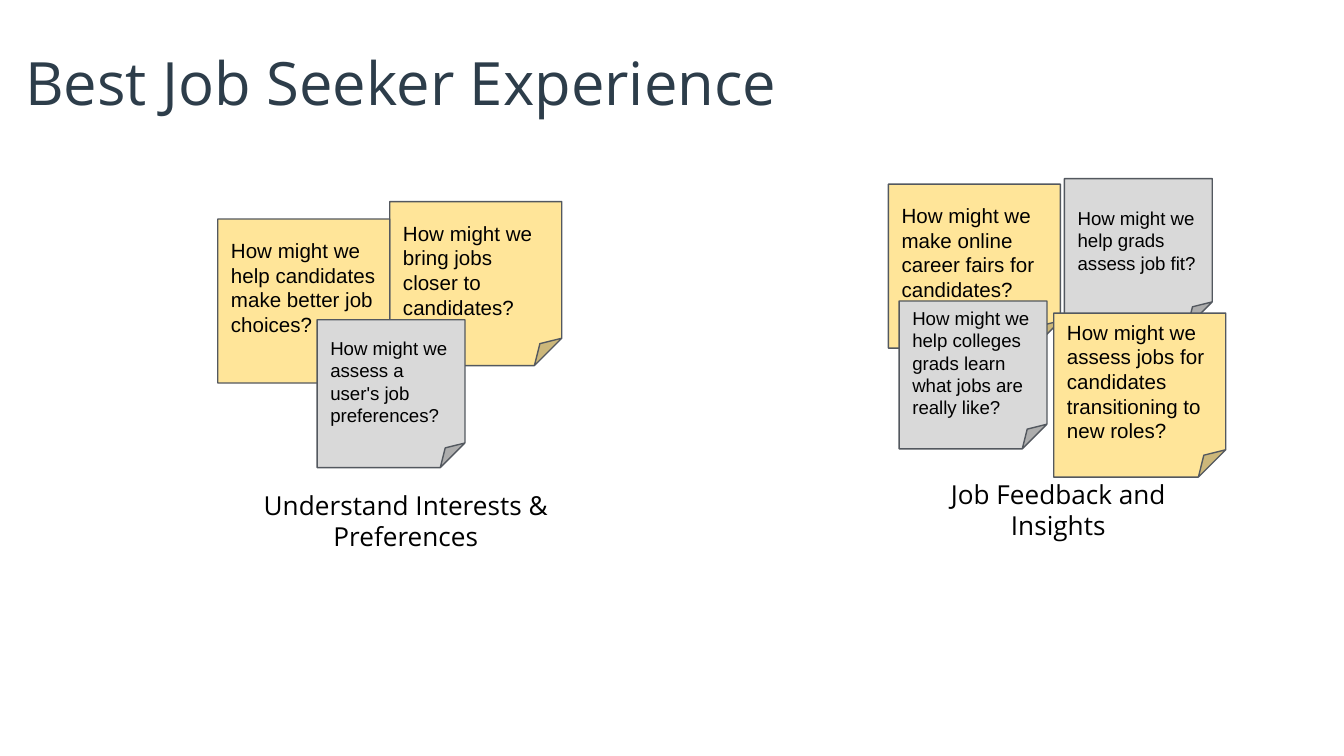
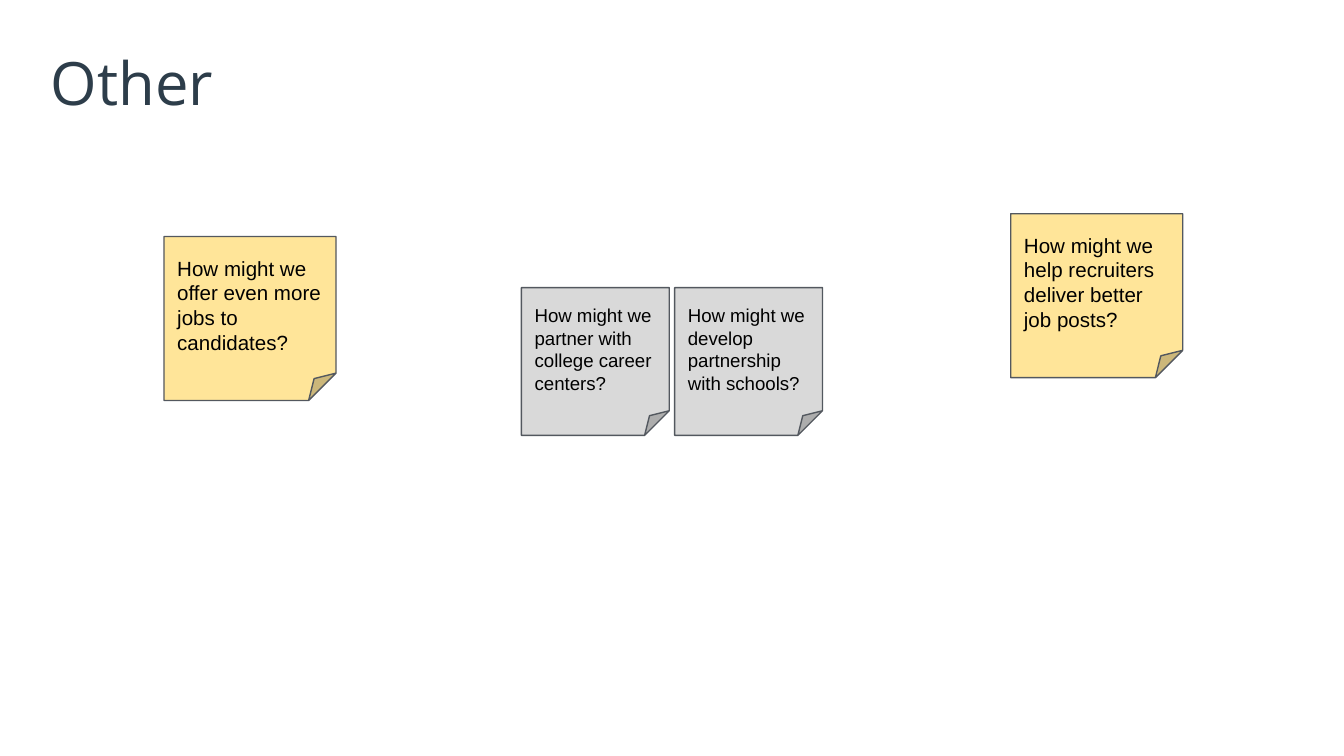
from pptx import Presentation
from pptx import util as u
from pptx.dml.color import RGBColor
from pptx.enum import shapes, text

SLATE = RGBColor(0x2D, 0x3D, 0x4A)
BLACK = RGBColor(0, 0, 0)
YELLOW = RGBColor(0xFF, 0xE5, 0x99)
GREY = RGBColor(0xD9, 0xD9, 0xD9)
OUTLINE = RGBColor(0x53, 0x58, 0x5F)

# Note styles: width, height, fill, text size
LARGE = (1.28, 1.22, YELLOW, 11)
SMALL = (1.1, 1.1, GREY, 10)

# Each slide: title (text, left, width), captions (text, left, top, width),
# and notes (style, left, top, text) from back to front
SLIDES = [
    (("Best Job Seeker Experience", 0.09, 5.86),
     [("Understand Interests & Preferences", 1.39, 3.54, 3.26),
      ("Job Feedback and Insights", 6.96, 3.46, 1.83)],
     [(LARGE, 2.9, 1.5, "How might we bring jobs closer to candidates?"),
      (LARGE, 1.62, 1.63, "How might we help candidates make better job choices?"),
      (SMALL, 2.36, 2.38, "How might we assess a user's job preferences?"),
      (LARGE, 6.61, 1.37, "How might we make online career fairs for candidates?"),
      (SMALL, 7.92, 1.33, "How might we help grads assess job fit?"),
      (SMALL, 6.69, 2.24,
       "How might we help colleges grads learn what jobs are really like?"),
      (LARGE, 7.84, 2.33,
       "How might we assess jobs for candidates transitioning to new roles?")]),
    (("Other", 0.28, 2.16),
     [],
     [(SMALL, 3.88, 2.14, "How might we partner with college career centers?"),
      (SMALL, 5.02, 2.14, "How might we develop partnership with schools?"),
      (LARGE, 1.22, 1.76, "How might we offer even more jobs to candidates?"),
      (LARGE, 7.52, 1.59, "How might we help recruiters deliver better job posts?")]),
]


def write(box, words, font, size, color, align=text.PP_ALIGN.LEFT,
          anchor=text.MSO_ANCHOR.TOP):
    frame = box.text_frame
    frame.word_wrap = True
    frame.vertical_anchor = anchor
    frame.margin_left = frame.margin_right = u.Inches(0.1)
    frame.margin_top = frame.margin_bottom = u.Inches(0.1)
    para = frame.paragraphs[0]
    para.alignment = align
    span = para.add_run()
    span.text = words
    span.font.name = font
    span.font.size = u.Pt(size)
    span.font.color.rgb = color


# Widescreen deck, 16:9
deck = Presentation()
deck.slide_width = u.Inches(10)
deck.slide_height = u.Inches(10 * 9 / 16)

for (title, title_left, title_width), captions, notes in SLIDES:
    page = deck.slides.add_slide(deck.slide_layouts[6])

    # Title
    box = page.shapes.add_textbox(u.Inches(title_left), u.Inches(0.24),
                                  u.Inches(title_width), u.Inches(0.63))
    write(box, title, "Open Sans", 32, SLATE)

    # Group captions
    for words, left, top, width in captions:
        box = page.shapes.add_textbox(u.Inches(left), u.Inches(top),
                                      u.Inches(width), u.Inches(0.53))
        write(box, words, "Open Sans", 14, BLACK, text.PP_ALIGN.CENTER)

    # Sticky notes
    for (width, height, fill, size), left, top, words in notes:
        note = page.shapes.add_shape(
            shapes.MSO_SHAPE.FOLDED_CORNER, u.Inches(left), u.Inches(top),
            u.Inches(width), u.Inches(height))
        note.shadow.inherit = False
        note.fill.solid()
        note.fill.fore_color.rgb = fill
        note.line.color.rgb = OUTLINE
        note.line.width = u.Pt(0.75)
        write(note, words, "Arial", size, BLACK, anchor=text.MSO_ANCHOR.MIDDLE)

deck.save("out.pptx")
